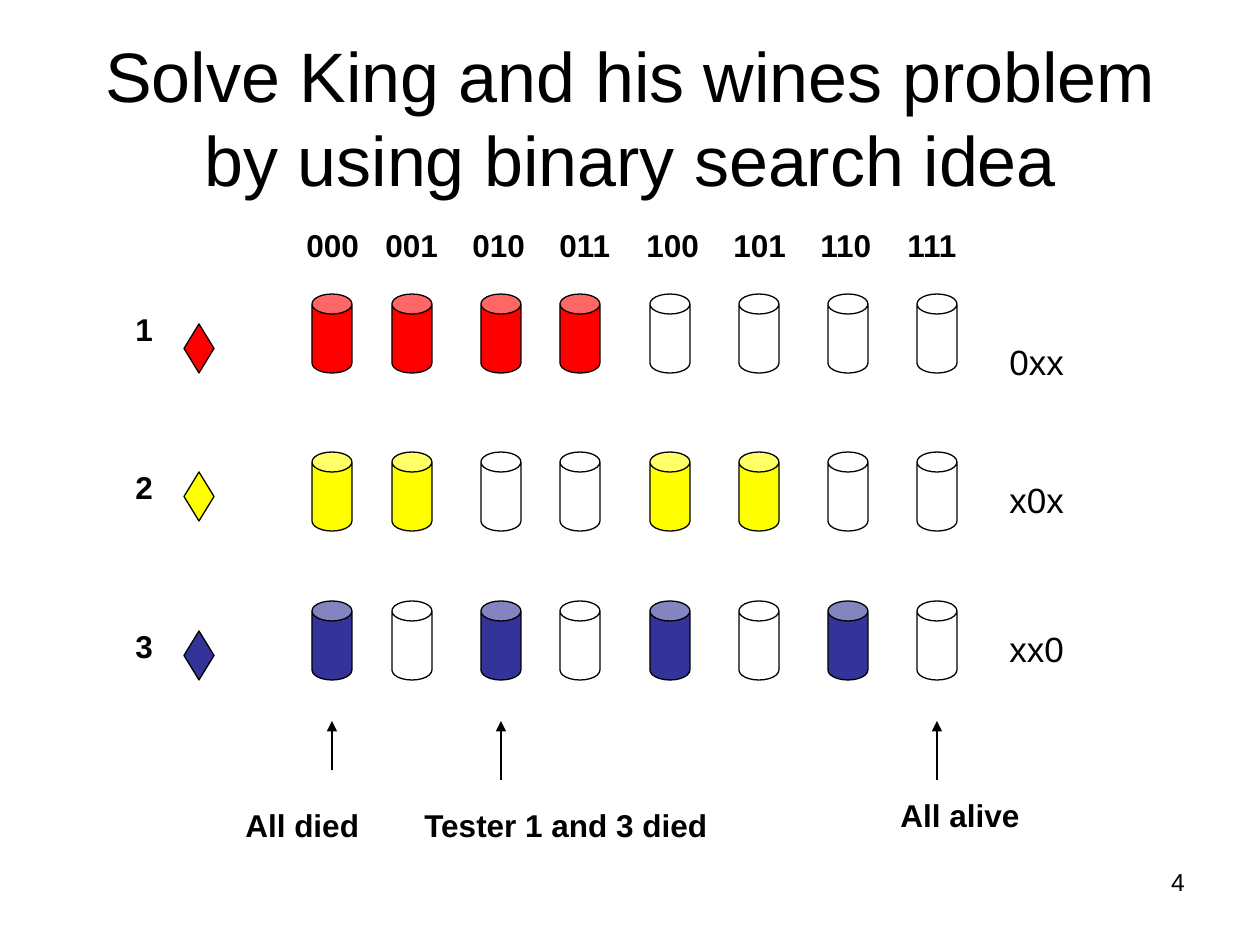
from lxml.etree import SubElement
from pptx import Presentation
from pptx.dml.color import RGBColor
from pptx.enum.shapes import MSO_CONNECTOR, MSO_SHAPE
from pptx.enum.text import MSO_ANCHOR, PP_ALIGN
from pptx.oxml.ns import qn
from pptx.util import Pt

SCALE = 914400 / 126


def px(n):
    return round(n * SCALE)


def color(code):
    return RGBColor.from_string(code)


class Board:
    font = "Arial"
    ink = "000000"
    line = 0.75

    def __init__(self, slide):
        self.slide = slide

    def text(self, words, x, y, w, h, size=18, bold=False,
             align=PP_ALIGN.LEFT, anchor=MSO_ANCHOR.TOP, wrap=True, tabs=()):
        box = self.slide.shapes.add_textbox(px(x), px(y), px(w), px(h))
        frame = box.text_frame
        frame.word_wrap = wrap
        frame.vertical_anchor = anchor
        par = frame.paragraphs[0]
        par.text = words
        par.alignment = align
        if tabs:
            stops = SubElement(par._p.get_or_add_pPr(), qn("a:tabLst"))
            for pos in tabs:
                SubElement(stops, qn("a:tab"), pos=str(px(pos)), algn="l")
        par.font.name = self.font
        par.font.size = Pt(size)
        par.font.bold = bold
        par.font.color.rgb = color(self.ink)

    def shape(self, kind, x, y, w, h, fill=None):
        item = self.slide.shapes.add_shape(kind, px(x), px(y), px(w), px(h))
        item.shadow.inherit = False
        if fill:
            item.fill.solid()
            item.fill.fore_color.rgb = color(fill)
        else:
            item.fill.background()
        item.line.color.rgb = color(self.ink)
        item.line.width = Pt(self.line)
        return item

    def can(self, x, y, fill=None):
        self.shape(MSO_SHAPE.CAN, x, y, 40, 79, fill).adjustments[0] = 0.5

    def arrow(self, x, start, end):
        item = self.slide.shapes.add_connector(
            MSO_CONNECTOR.STRAIGHT, px(x), px(start), px(x), px(end))
        item.line.color.rgb = color(self.ink)
        item.line.width = Pt(self.line)
        SubElement(item.line._get_or_add_ln(), qn("a:tailEnd"), type="triangle")
        SubElement(item._element.spPr, qn("a:effectLst"))


def main():
    deck = Presentation()
    deck.slide_width, deck.slide_height = px(1260), px(945)
    board = Board(deck.slides.add_slide(deck.slide_layouts[6]))

    # Title and page number
    board.text("Solve King and his wines problem\vby using binary search idea",
               63, 38, 1134, 157, 40, align=PP_ALIGN.CENTER,
               anchor=MSO_ANCHOR.MIDDLE)
    board.text("4", 903, 861, 294, 66, 14, align=PP_ALIGN.RIGHT)

    # Binary code of each wine
    codes = [format(n, "03b") for n in range(8)]
    board.text("\t".join(codes), 294, 220, 725, 50, bold=True,
               tabs=[79 + 87 * n for n in range(7)])

    # Testers: each drinks the wines with a 0 at their own digit
    cols = [312, 392, 481, 560, 650, 739, 828, 917]
    rows = [  # fill, can top, diamond top, number top, pattern, pattern top
        ("FF0000", 294, 324, 304, "0xx", 334),
        ("FFFF00", 452, 472, 462, "x0x", 472),
        ("333399", 601, 631, 621, "xx0", 621),
    ]
    for digit, (fill, top, gem, num, mask, side) in enumerate(rows):
        board.text(str(digit + 1), 123, num, 45, 50, bold=True)
        board.shape(MSO_SHAPE.DIAMOND, 184, gem, 30, 49, fill)
        for x, code in zip(cols, codes):
            board.can(x, top, fill if code[digit] == "0" else None)
        board.text(mask, 997, side, 128, 54, 20)

    # Outcomes: wine, arrow start, label and its box
    notes = [
        (0, 770, "All died", 233, 800, 139),
        (2, 780, "Tester 1 and 3 died", 412, 800, 335),
        (7, 780, "All alive", 888, 790, 197),
    ]
    for col, start, words, x, y, w in notes:
        board.arrow(cols[col] + 20, start, 721)
        board.text(words, x, y, w, 50, bold=True, wrap=False)

    deck.save("out.pptx")


if __name__ == "__main__":
    main()
